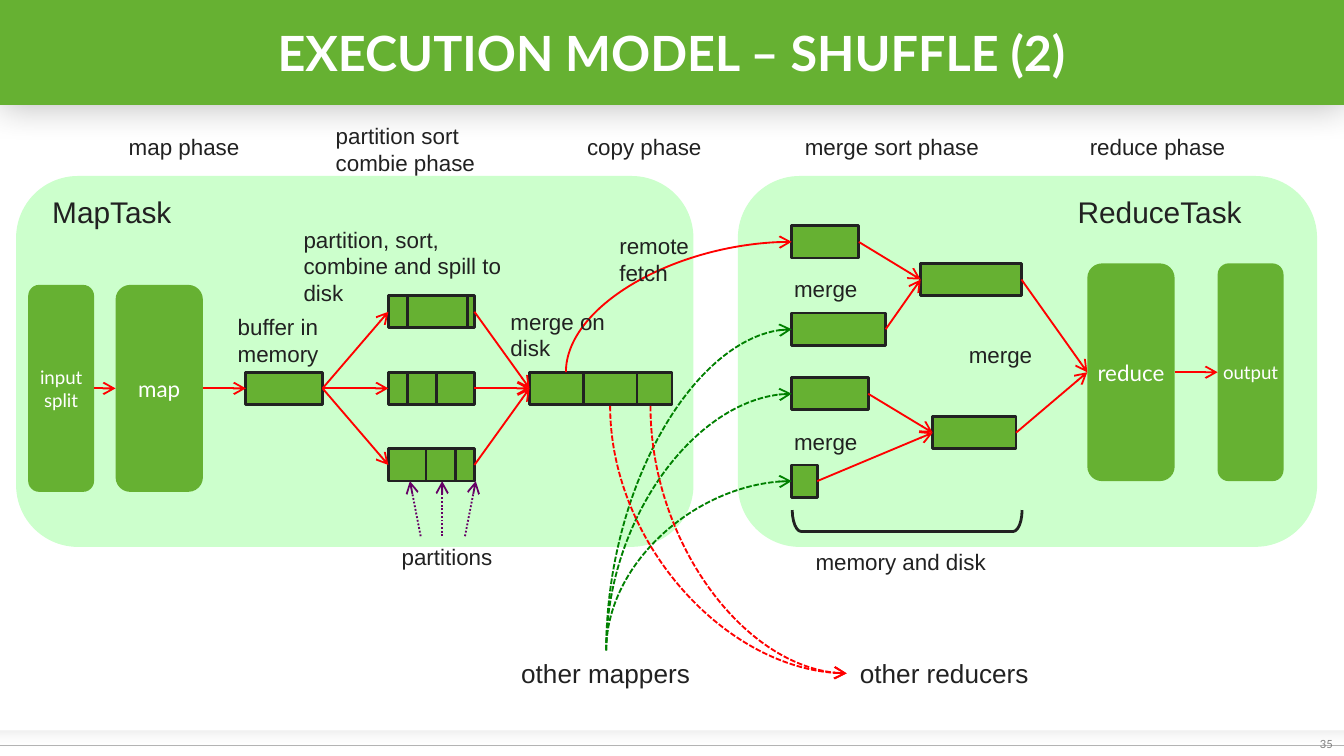
from typing import NamedTuple

from lxml import etree
from pptx import Presentation
from pptx.dml.color import RGBColor
from pptx.enum.dml import MSO_LINE
from pptx.enum.shapes import MSO_CONNECTOR, MSO_SHAPE
from pptx.enum.text import MSO_ANCHOR, MSO_AUTO_SIZE, PP_ALIGN
from pptx.oxml import parse_xml
from pptx.oxml.ns import nsdecls, qn
from pptx.util import Emu, Pt

PX = 9144  # 100 px to the inch
SLIDE_W = 1000 * PX
SLIDE_H = SLIDE_W * 9 // 16
RECT, ROUND = MSO_SHAPE.RECTANGLE, MSO_SHAPE.ROUNDED_RECTANGLE
BRACKET = MSO_SHAPE.LEFT_BRACKET
STRAIGHT, CURVE = MSO_CONNECTOR.STRAIGHT, MSO_CONNECTOR.CURVE
DASH, DOT = MSO_LINE.SQUARE_DOT, MSO_LINE.ROUND_DOT
CENTER, LEFT, MIDDLE, TOP = PP_ALIGN.CENTER, PP_ALIGN.LEFT, MSO_ANCHOR.MIDDLE, MSO_ANCHOR.TOP
SITE_LEFT, SITE_RIGHT = 1, 3
GREEN, PALE, INK, WHITE, GREY = "66B132", "CCFFCC", "212121", "FFFFFF", "B3B3B3"
RED, DARK_GREEN, PURPLE = "FF0000", "008000", "660066"
BAR_H = 24  # height of every data block


class Box(NamedTuple):
    x: int
    y: int
    w: int
    h: int


class Stage(NamedTuple):
    name: str
    box: Box
    size: int


class Label(NamedTuple):
    text: str
    box: Box
    size: int = 12


class Curve(NamedTuple):
    x1: int
    y1: int
    x2: int
    y2: int
    color: str
    dash: object = DASH


prs = Presentation()
prs.slide_width, prs.slide_height = Emu(SLIDE_W), Emu(SLIDE_H)
slide = prs.slides.add_slide(prs.slide_layouts[5])
shapes = slide.shapes


def px(*values: float) -> list:
    return [Emu(round(v * PX)) for v in values]


def rgb(color: str) -> RGBColor:
    return RGBColor.from_string(color)


def write(s, text: str, size: int, font: str, color: str, align=LEFT, anchor=TOP,
          insets=(10, 5, 10, 5), bold: bool = False) -> None:
    tf = s.text_frame
    tf.word_wrap, tf.vertical_anchor = True, anchor
    tf.margin_left, tf.margin_top, tf.margin_right, tf.margin_bottom = px(*insets)
    p = tf.paragraphs[0]
    p.alignment = align
    r = p.add_run()
    r.text = text
    r.font.size, r.font.name, r.font.bold = Pt(size), font, bold
    r.font.color.rgb = rgb(color)


def add_shape(kind, box: Box, fill: str = "", line: str = ""):
    s = shapes.add_shape(kind, *px(*box))
    s.shadow.inherit = False
    if fill:
        s.fill.solid()
        s.fill.fore_color.rgb = rgb(fill)
    else:
        s.fill.background()
    if line:
        s.line.color.rgb = rgb(line)
        s.line.width = Pt(1.5)
    else:
        s.line.fill.background()
    return s


def add_bar(x: int, y: int, w: int):
    return add_shape(RECT, Box(x, y, w, BAR_H), GREEN, INK)


def add_label(label: Label) -> None:
    s = shapes.add_textbox(*px(*label.box))
    write(s, label.text, label.size, "Arial", INK)
    s.text_frame.auto_size = MSO_AUTO_SIZE.SHAPE_TO_FIT_TEXT


def add_line(kind, ends, color: str, dash=None, width: float = 1, arrow: bool = True):
    s = shapes.add_connector(kind, *px(*ends))
    s.line.color.rgb = rgb(color)
    s.line.width = Pt(width)
    if dash:
        s.line.dash_style = dash
    if arrow:
        etree.SubElement(s.line._get_or_add_ln(), qn("a:tailEnd"), type="arrow")
    etree.SubElement(s._element.spPr, qn("a:effectLst"))
    return s


def join(a, b) -> None:
    s = add_line(STRAIGHT, (0, 0, 0, 0), RED)
    s.begin_connect(a, SITE_RIGHT)
    s.end_connect(b, SITE_LEFT)


def add_curve(c: Curve) -> None:
    """Quarter curve leaving vertically and arriving horizontally: a turned frame."""
    cx, cy = (c.x1 + c.x2) / 2, (c.y1 + c.y2) / 2
    w, h = abs(c.y2 - c.y1) / 2, (c.x2 - c.x1) / 2
    up = c.y2 < c.y1
    dy = h if up else -h
    s = add_line(CURVE, (cx + w, cy + dy, cx - w, cy - dy), c.color, c.dash)
    sp_pr = s._element.spPr
    sp_pr.find(qn("a:xfrm")).set("rot", str((90 if up else 270) * 60000))
    sp_pr.find(qn("a:prstGeom")).set("prst", "curvedConnector2")


# Footer band with its rule and slide number
band = add_shape(RECT, Box(0, 544, 1000, 19), WHITE)
band_pr = band._element.spPr
band_pr.replace(band_pr.find(qn("a:solidFill")), parse_xml(
    f'<a:gradFill {nsdecls("a")}><a:gsLst>'
    f'<a:gs pos="0"><a:srgbClr val="{GREY}"><a:alpha val="20000"/></a:srgbClr></a:gs>'
    f'<a:gs pos="67000"><a:srgbClr val="{WHITE}"><a:alpha val="0"/></a:srgbClr></a:gs>'
    '</a:gsLst><a:lin ang="5400000" scaled="0"/></a:gradFill>'))
add_line(STRAIGHT, (0, 555, 1000, 555), GREY, width=0.5, arrow=False)
number = shapes.add_textbox(*px(975, 544, 24, 19))
write(number, "35", 6, "Lato", "808080", CENTER, MIDDLE, (0, 0, 0, 0))

# Title bar
title = shapes.title
title.left, title.top, title.width, title.height = px(0, 0, 1000, 78)
title.fill.solid()
title.fill.fore_color.rgb = rgb(GREEN)
write(title, "EXECUTION MODEL – SHUFFLE (2)", 26, "Lato", WHITE, CENTER, MIDDLE, (0, 0, 0, 0), True)
title.text_frame.auto_size = MSO_AUTO_SIZE.NONE
title._element.spPr.append(parse_xml(
    f'<a:effectLst {nsdecls("a")}><a:outerShdw blurRad="{Pt(20)}" dist="0" dir="0" rotWithShape="0">'
    '<a:srgbClr val="000000"><a:alpha val="28000"/></a:srgbClr></a:outerShdw></a:effectLst>'))

# Task panels
for panel in (Box(549, 131, 431, 276), Box(12, 131, 504, 276)):
    add_shape(ROUND, panel, PALE)

# Processing stages
stages = {}
for stage in (Stage("input split", Box(21, 212, 49, 154), 10), Stage("map", Box(86, 212, 65, 154), 12),
              Stage("reduce", Box(809, 196, 65, 162), 12), Stage("output", Box(906, 196, 49, 162), 10)):
    s = stages[stage.name] = add_shape(ROUND, stage.box, GREEN)
    write(s, stage.name, stage.size, "Lato", WHITE, CENTER, MIDDLE, (0, 5, 0, 5))

# Map side: buffer, partitioned spills, merged file
buffer = add_bar(183, 277, 57)
spills = []
for y, mid_x, mid_w in ((220, 303, 45), (277, 303, 22), (334, 317, 22)):
    spills.append((add_bar(289, y, 32), add_bar(321, y, 32)))
    add_bar(mid_x, y, mid_w)
merged = add_bar(394, 277, 53)
add_bar(468, 277, 32)
add_bar(434, 277, 40)

join(stages["input split"], stages["map"])
join(stages["map"], buffer)
for first, last in spills:
    join(buffer, first)
    join(last, merged)

# Reduce side: fetched blocks merged in pairs
for fetched, result in ((((168, 50), (233, 70)), (685, 196, 75)),
                        (((281, 57), (346, 19)), (694, 310, 62))):
    target = add_bar(*result)
    for y, w in fetched:
        join(add_bar(589, y, w), target)
    join(target, stages["reduce"])
join(stages["reduce"], stages["output"])

# Transfers between tasks
add_curve(Curve(421, 277, 589, 180, RED, None))
for y in (245, 293, 358):
    add_curve(Curve(451, 484, 589, y, DARK_GREEN))
for x in (454, 484):
    add_curve(Curve(x, 302, 630, 501, RED))

# Pointers to partitions
for x1, x2 in ((313, 305), (329, 329), (346, 354)):
    add_line(STRAIGHT, (x1, 399, x2, 358), PURPLE, DOT)

# Bracket under the reduce inputs
bracket = add_shape(BRACKET, Box(667, 302, 16, 171), line=INK)
bracket.rotation = 270
bracket.adjustments[0] = 0.425

# Labels
for label in (
    Label("MapTask", Box(29, 139, 122, 37), 16),
    Label("ReduceTask", Box(792, 139, 171, 37), 16),
    Label("other mappers", Box(378, 484, 146, 34), 14),
    Label("other reducers", Box(630, 484, 146, 34), 14),
    Label("map phase", Box(86, 94, 114, 30)),
    Label("partition sort combie phase", Box(240, 86, 130, 50)),
    Label("copy phase", Box(427, 94, 114, 30)),
    Label("merge sort phase", Box(589, 94, 171, 30)),
    Label("reduce phase", Box(801, 94, 138, 30)),
    Label("buffer in memory", Box(167, 228, 89, 50)),
    Label("partition, sort, combine and spill to disk", Box(216, 163, 171, 71)),
    Label("partitions", Box(289, 399, 97, 30)),
    Label("merge on disk", Box(370, 224, 97, 50)),
    Label("remote fetch", Box(451, 168, 81, 50)),
    Label("merge", Box(711, 249, 81, 30)),
    Label("merge", Box(581, 314, 81, 30)),
    Label("merge", Box(581, 200, 81, 30)),
    Label("memory and disk", Box(597, 403, 154, 30)),
):
    add_label(label)

prs.save("out.pptx")
